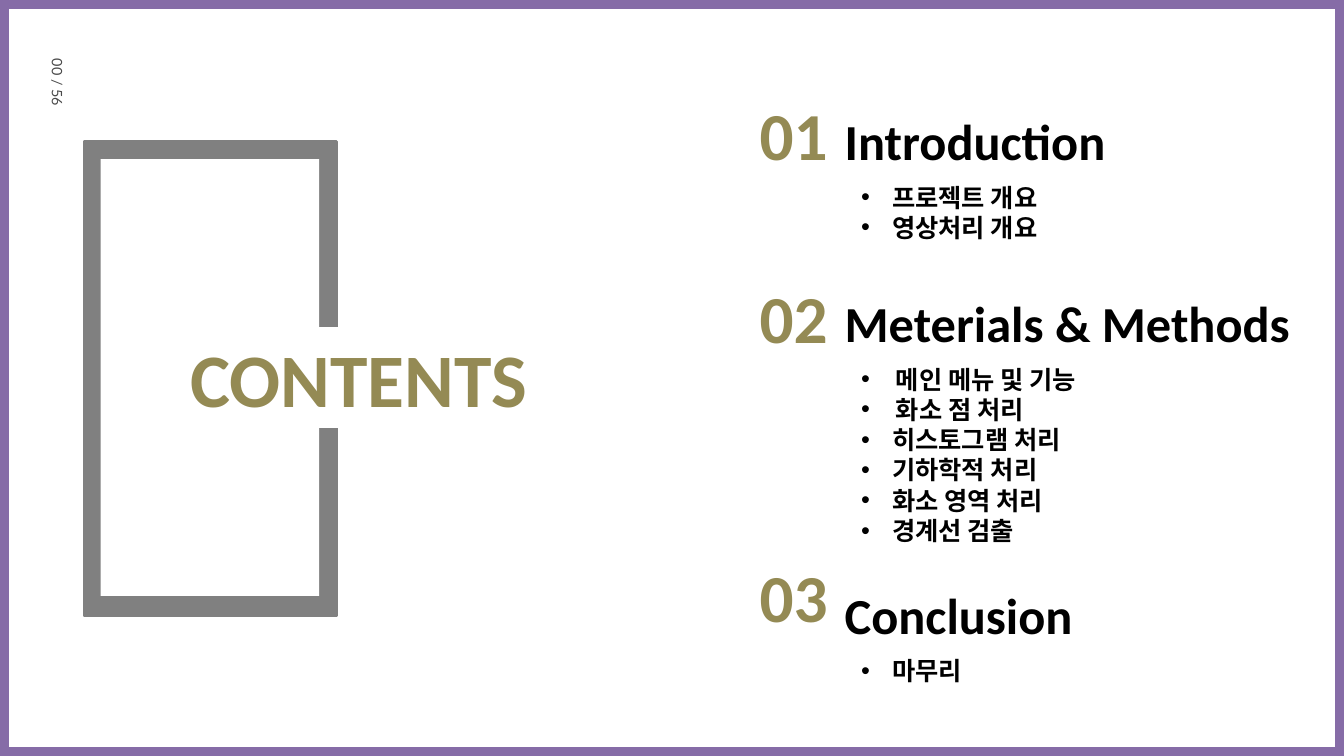
from lxml import etree
from pptx import Presentation
from pptx.dml.color import RGBColor
from pptx.enum.shapes import MSO_SHAPE as Shape
from pptx.enum.text import MSO_ANCHOR as Anchor, MSO_AUTO_SIZE as AutoSize, PP_ALIGN as Align
from pptx.oxml.ns import qn
from pptx.util import Inches, Pt

WIDTH, HEIGHT = 14.7, 8.27
WHITE, PURPLE, GRAY, GOLD, BLACK = "FFFFFF", "866CA7", "808080", "948A54", "000000"
NARROW, WIDE = 0.34, 0.38

# number top, heading top, number, heading, bullets with their indents
SECTIONS = [
    (0.97, 1.16, "01", "Introduction",
     [("프로젝트 개요", NARROW), ("영상처리 개요", NARROW)]),
    (2.97, 3.15, "02", "Meterials & Methods",
     [("메인 메뉴 및 기능", WIDE), ("화소 점 처리", WIDE), ("히스토그램 처리", NARROW),
      ("기하학적 처리", NARROW), ("화소 영역 처리", NARROW), ("경계선 검출", NARROW)]),
    (6.03, 6.34, "03", "Conclusion", [("마무리", NARROW)]),
]


def color(value):
    return RGBColor.from_string(value)


def paint(shape, fill, line=None, line_width=0.75):
    shape.fill.solid()
    shape.fill.fore_color.rgb = color(fill)
    if line:
        shape.line.color.rgb = color(line)
        shape.line.width = Pt(line_width)
    else:
        shape.line.fill.background()


def add_block(slide, kind, left, top, width, height, **paint_format):
    shape = slide.shapes.add_shape(kind, Inches(left), Inches(top), Inches(width), Inches(height))
    shape.shadow.inherit = False
    paint(shape, **paint_format)


def write(paragraph, text, size, text_color=BLACK, font="Calibri", bold=True):
    paragraph.alignment = Align.LEFT
    run = paragraph.add_run()
    run.text = text
    run.font.size = Pt(size)
    run.font.name = font
    run.font.bold = bold
    run.font.color.rgb = color(text_color)


def add_text_box(slide, left, top, width, height, anchor=Anchor.TOP):
    box = slide.shapes.add_textbox(Inches(left), Inches(top), Inches(width), Inches(height))
    box.text_frame.word_wrap = True
    box.text_frame.vertical_anchor = anchor
    return box


def add_text(slide, left, top, width, height, text, anchor=Anchor.TOP, **text_format):
    box = add_text_box(slide, left, top, width, height, anchor)
    write(box.text_frame.paragraphs[0], text, **text_format)
    return box


def add_bullet(paragraph, indent):
    properties = paragraph._p.get_or_add_pPr()
    properties.set("marL", str(Inches(indent)))
    properties.set("indent", str(-Inches(indent)))
    etree.SubElement(properties, qn("a:buFont")).set("typeface", "Arial")
    etree.SubElement(properties, qn("a:buChar")).set("char", "•")


def add_bullet_list(slide, left, top, width, items):
    frame = add_text_box(slide, left, top, width, 0.11 + 0.33 * len(items)).text_frame
    for index, (text, indent) in enumerate(items):
        paragraph = frame.add_paragraph() if index else frame.paragraphs[0]
        add_bullet(paragraph, indent)
        write(paragraph, text, size=19.9)


def add_section(slide, left, number_top, heading_top, number, heading, items):
    add_text(slide, left, number_top, 1.1, 1.33, number, size=52.9, text_color=GOLD)
    add_text(slide, left + 0.93, heading_top, 5.21, 0.77, heading, size=39.7)
    add_bullet_list(slide, left + 1.11, heading_top + 0.78, 2.93, items)


def add_title_frame(slide, left, top, width, height):
    """Draw the gray frame, with the title breaking its right side."""
    add_block(slide, Shape.FRAME, left, top, width, height, fill=GRAY, line=GRAY, line_width=2)
    add_block(slide, Shape.RECTANGLE, left + 0.18, top + 0.19, width - 0.37, height - 0.41,
              fill=WHITE)
    title = slide.shapes.title
    title.left, title.top = Inches(left + 1.06), Inches(top + 2.03)
    title.width, title.height = Inches(4.64), Inches(1.1)
    paint(title, WHITE, WHITE)
    title.text_frame.auto_size = AutoSize.NONE
    title.text_frame.vertical_anchor = Anchor.TOP
    write(title.text_frame.paragraphs[0], "CONTENTS", size=59.5, text_color=GOLD)
    title.element.getparent().append(title.element)  # bring in front of the frame


def add_page_number(slide, left, top, width, height):
    box = add_text(slide, left, top, width, height, "00 / 56", Anchor.MIDDLE,
                   size=11.3, text_color="494949", font="Lato", bold=False)
    box.rotation = 90


def main():
    presentation = Presentation()
    presentation.slide_width, presentation.slide_height = Inches(WIDTH), Inches(HEIGHT)
    slide = presentation.slides.add_slide(presentation.slide_layouts[5])
    add_block(slide, Shape.RECTANGLE, 0, 0, WIDTH, HEIGHT,
              fill=WHITE, line=PURPLE, line_width=14)
    add_title_frame(slide, 0.92, 1.55, 2.76, 5.19)
    for section in SECTIONS:
        add_section(slide, 8.21, *section)
    add_page_number(slide, -0.57, 1.6, 2.4, 0.29)
    presentation.save("out.pptx")


if __name__ == "__main__":
    main()
